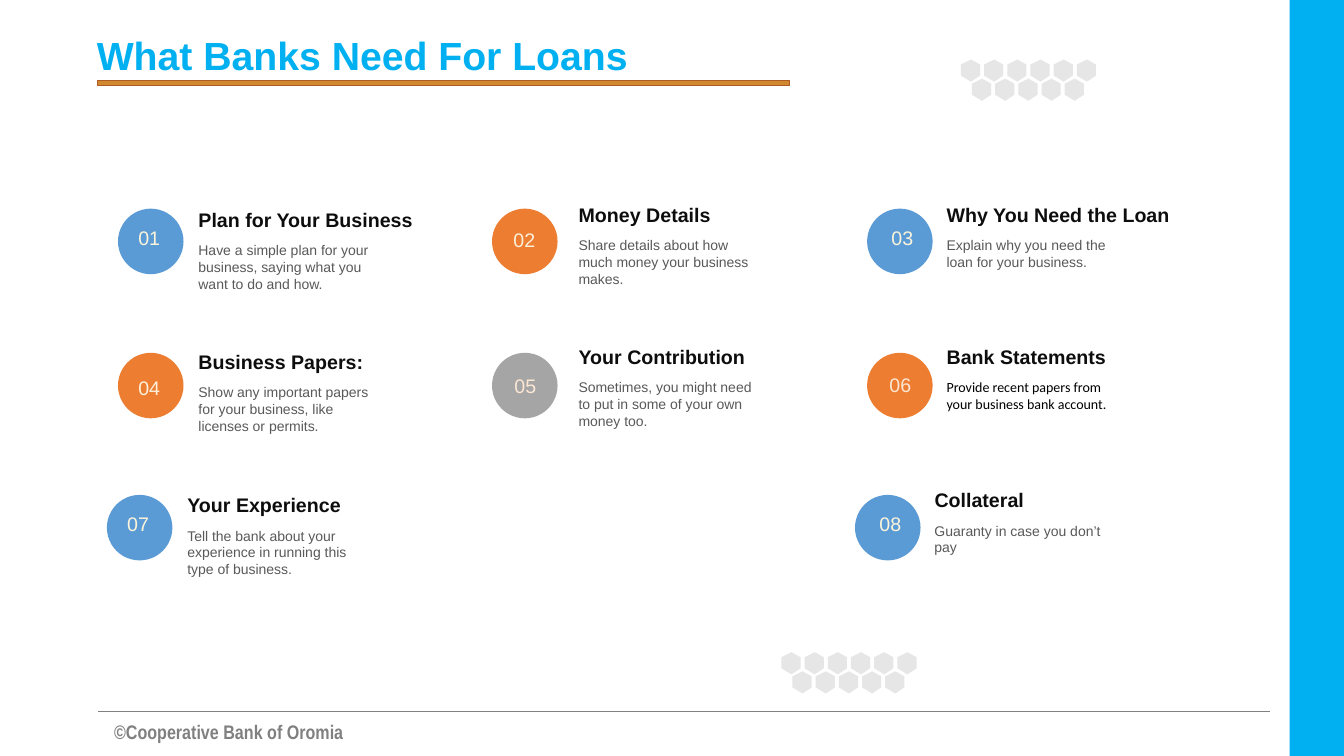
from lxml.etree import SubElement
from pptx import Presentation
from pptx.dml.color import RGBColor
from pptx.enum.shapes import MSO_CONNECTOR, MSO_SHAPE
from pptx.enum.text import MSO_ANCHOR, MSO_AUTO_SIZE, PP_ALIGN
from pptx.oxml.ns import qn
from pptx.util import Pt

PX = 9144
BLUE, ORANGE, GRAY = "5B9BD5", "ED7D31", "A5A5A5"
CREAM, SAND, PEACH = "FCF4DB", "FCF0DA", "FCE7D4"
SKY, SILVER, INK, SLATE = "00B0F0", "E7E6E6", "0D0D0D", "595959"


def paint(target, color):
    if hasattr(target, "solid"):
        target.solid()
        target.fore_color.rgb = RGBColor.from_string(color)
    else:
        target.color.rgb = RGBColor.from_string(color)


def write(shape, words, size, color, bold=False, font="Arial",
          align=PP_ALIGN.LEFT, wrap=False, fit=MSO_AUTO_SIZE.SHAPE_TO_FIT_TEXT):
    frame = shape.text_frame
    frame.text = words
    frame.word_wrap = wrap
    frame.auto_size = fit
    line = frame.paragraphs[0]
    line.alignment = align
    style = line.runs[0].font
    style.name, style.size, style.bold = font, Pt(size), bold
    paint(style, color)
    return frame


prs = Presentation()
prs.slide_width, prs.slide_height = 1333 * PX, 750 * PX
slide = prs.slides.add_slide(prs.slide_layouts[5])
shapes = slide.shapes

sidebar = shapes.add_shape(MSO_SHAPE.RECTANGLE, 1279 * PX, 0, 54 * PX, 750 * PX)
sidebar.shadow.inherit = False
paint(sidebar.fill, SKY)
sidebar.line.fill.background()

copyright_line = shapes.add_textbox(69 * PX, 714 * PX, 316 * PX, 23 * PX)
write(copyright_line, "©Cooperative Bank of Oromia", 14, "808080", True, "Arial Narrow",
      PP_ALIGN.CENTER, True, MSO_AUTO_SIZE.NONE).vertical_anchor = MSO_ANCHOR.MIDDLE

footer_rule = shapes.add_connector(
    MSO_CONNECTOR.STRAIGHT, 97 * PX, 706 * PX, 1260 * PX, 706 * PX)
paint(footer_rule.line, "808080")
footer_rule.line.width = Pt(0.5)
SubElement(footer_rule.line._get_or_add_ln().getparent(), qn("a:effectLst"))

title_rule = shapes.add_shape(MSO_SHAPE.RECTANGLE, 97 * PX, 80 * PX, 686 * PX, 5 * PX)
title_rule.shadow.inherit = False
paint(title_rule.fill, "D18930")
paint(title_rule.line, "AF5C24")
title_rule.line.width = Pt(1)

title = shapes.title
title.left, title.top, title.width, title.height = 86 * PX, 18 * PX, 634 * PX, 49 * PX
heading = write(title, "What Banks Need For Loans", 28, SKY, True,
                wrap=True, fit=MSO_AUTO_SIZE.NONE)
heading.vertical_anchor = MSO_ANCHOR.MIDDLE
heading.paragraphs[0].line_spacing = 1.5

HEXAGON = [(10, 0), (0, 5), (0, 16), (10, 22), (19, 16), (19, 5)]
for comb_x, comb_y in [(953, 59), (775, 647)]:
    comb = shapes.add_group_shape().shapes
    for row, count in enumerate([6, 5]):
        for col in range(count):
            x, y = comb_x + 11 * row + 23 * col, comb_y + 19 * row
            corners = [(x + dx, y + dy) for dx, dy in HEXAGON]
            outline = comb.build_freeform(*corners[0], scale=float(PX))
            outline.add_line_segments(corners[1:], close=True)
            cell = outline.convert_to_shape()
            cell.shadow.inherit = False
            paint(cell.fill, SILVER)
            cell.line.fill.background()

# (disc x, y), disc fill, (number x, y), number color, (text x, y), need, need width, detail, detail height
NEEDS = [
    ((117, 207), BLUE, (127, 219), CREAM, (187, 201), "Plan for Your Business", 234,
     "Have a simple plan for your business, saying what you want to do and how.", 61),
    ((488, 207), ORANGE, (499, 221), SAND, (564, 196), "Money Details", 152,
     "Share details about how much money your business makes.", 61),
    ((860, 207), BLUE, (874, 219), CREAM, (929, 196), "Why You Need the Loan", 249,
     "Explain why you need the loan for your business.", 44),
    ((117, 350), ORANGE, (127, 368), SAND, (187, 342), "Business Papers:", 184,
     "Show any important papers for your business, like licenses or permits.", 61),
    ((488, 350), GRAY, (500, 366), PEACH, (564, 337), "Your Contribution", 198,
     "Sometimes, you might need to put in some of your own money too.", 61),
    ((860, 350), ORANGE, (872, 365), PEACH, (929, 337), "Bank Statements", 179,
     "Provide recent papers from your business bank account.", 44),
    ((106, 491), BLUE, (116, 503), CREAM, (176, 484), "Your Experience", 180,
     "Tell the bank about your experience in running this type of business.", 61),
    ((848, 491), BLUE, (862, 503), CREAM, (917, 479), "Collateral", 115,
     "Guaranty in case you don’t pay", 44),
]
for order, (disc_at, fill, number_at, number_color, text_at,
            need, need_width, detail, detail_height) in enumerate(NEEDS, 1):
    entry = shapes.add_group_shape().shapes
    disc = entry.add_shape(
        MSO_SHAPE.OVAL, disc_at[0] * PX, disc_at[1] * PX, 65 * PX, 65 * PX)
    disc.shadow.inherit = False
    paint(disc.fill, fill)
    disc.line.fill.background()
    number = entry.add_textbox(number_at[0] * PX, number_at[1] * PX, 42 * PX, 34 * PX)
    write(number, f"{order:02}", 14, number_color, align=PP_ALIGN.CENTER)
    x, y = text_at
    need_box = entry.add_textbox(x * PX, y * PX, need_width * PX, 34 * PX)
    write(need_box, need, 14, INK, True)
    detail_box = entry.add_textbox(x * PX, (y + 34) * PX, 193 * PX, detail_height * PX)
    font, color = ("Calibri", "000000") if need == "Bank Statements" else ("Arial", SLATE)
    write(detail_box, detail, 10, color, font=font, wrap=True)

prs.save("out.pptx")
